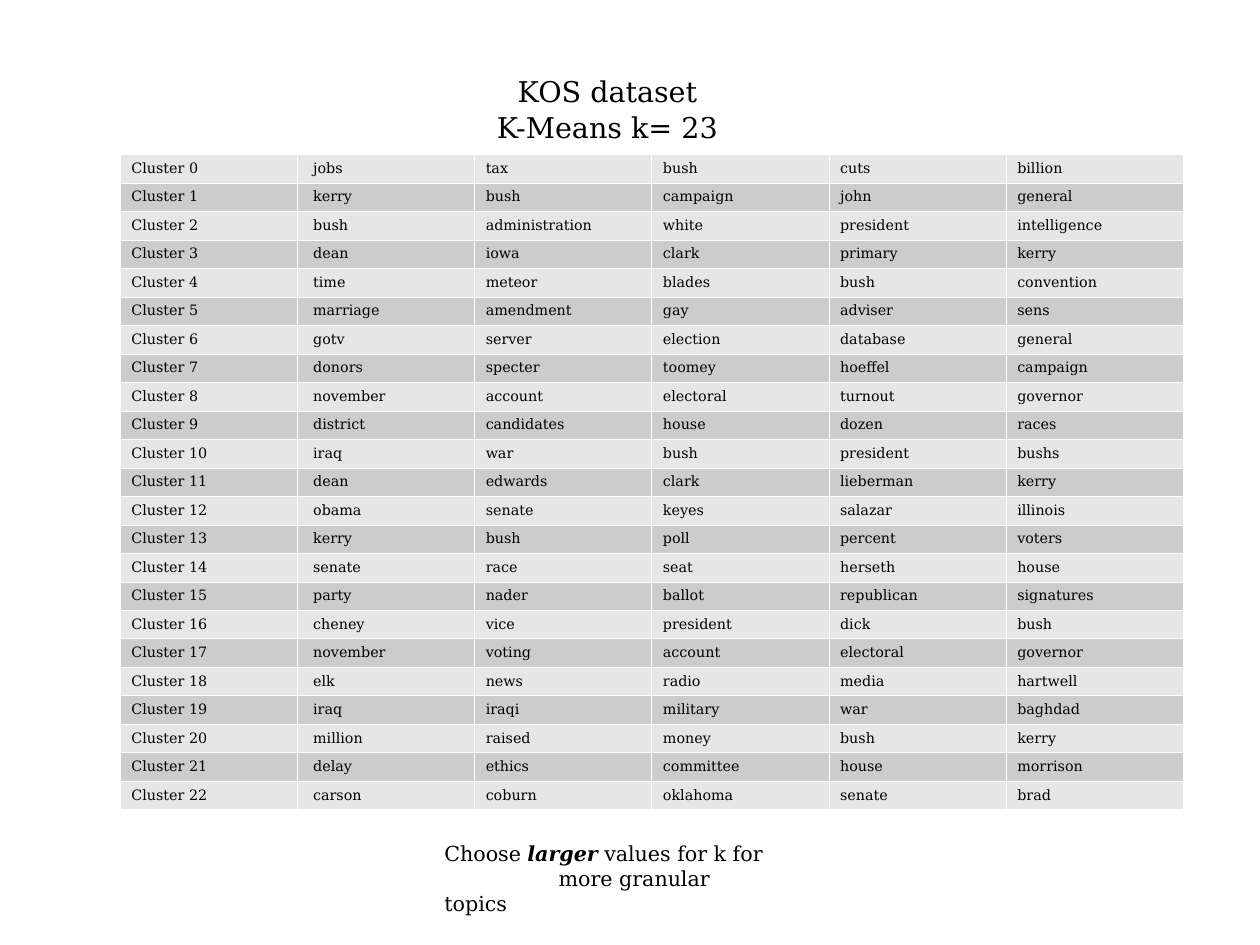
from lxml import etree
from pptx import Presentation
from pptx.dml.color import RGBColor
from pptx.enum.text import MSO_AUTO_SIZE as AutoSize, PP_ALIGN as Align
from pptx.oxml.ns import qn
from pptx.util import Inches, Mm, Pt

FONT = "DejaVu Serif"
BLACK, WHITE = "000000", "FFFFFF"
BANDS = ["E6E6E6", "CCCCCC"]
TITLE_LINES = ["KOS dataset", "K-Means k= 23"]
CLUSTER_TERMS = [
    "jobs tax bush cuts billion",
    "kerry bush campaign john general",
    "bush administration white president intelligence",
    "dean iowa clark primary kerry",
    "time meteor blades bush convention",
    "marriage amendment gay adviser sens",
    "gotv server election database general",
    "donors specter toomey hoeffel campaign",
    "november account electoral turnout governor",
    "district candidates house dozen races",
    "iraq war bush president bushs",
    "dean edwards clark lieberman kerry",
    "obama senate keyes salazar illinois",
    "kerry bush poll percent voters",
    "senate race seat herseth house",
    "party nader ballot republican signatures",
    "cheney vice president dick bush",
    "november voting account electoral governor",
    "elk news radio media hartwell",
    "iraq iraqi military war baghdad",
    "million raised money bush kerry",
    "delay ethics committee house morrison",
    "carson coburn oklahoma senate brad",
]


def color(hex_value):
    return RGBColor.from_string(hex_value)


def style_runs(paragraph, size):
    for run in paragraph.runs:
        run.font.size = Pt(size)
        run.font.name = FONT
        run.font.color.rgb = color(BLACK)


def add_borders(cell):
    """Give a cell hairline white edges; call before filling it."""
    properties = cell._tc.get_or_add_tcPr()
    for side in ("lnL", "lnR", "lnT", "lnB"):
        edge = etree.SubElement(properties, qn(f"a:{side}"), w=str(Pt(0.06)))
        fill = etree.SubElement(edge, qn("a:solidFill"))
        etree.SubElement(fill, qn("a:srgbClr"), val=WHITE)


def add_title(slide, left, top, width, line_gap):
    for index, line in enumerate(TITLE_LINES):
        box = slide.shapes.add_textbox(
            Inches(left), Inches(top + index * line_gap), Inches(width), Inches(0.39))
        frame = box.text_frame
        frame.text = line
        frame.word_wrap = False
        frame.auto_size = AutoSize.SHAPE_TO_FIT_TEXT
        frame.paragraphs[0].alignment = Align.CENTER
        style_runs(frame.paragraphs[0], 18)


def add_cluster_table(slide, left, top, width, height):
    rows = [[f"Cluster {number}", *terms.split()]
            for number, terms in enumerate(CLUSTER_TERMS)]
    table = slide.shapes.add_table(
        len(rows), len(rows[0]), Inches(left), Inches(top),
        Inches(width), Inches(height)).table
    table.first_row = table.horz_banding = False
    for row_index, words in enumerate(rows):
        for column_index, word in enumerate(words):
            cell = table.cell(row_index, column_index)
            cell.text = word
            cell.margin_left = Inches(0.14 if column_index == 1 else 0.1)
            add_borders(cell)
            cell.fill.solid()
            cell.fill.fore_color.rgb = color(BANDS[row_index % 2])
            style_runs(cell.text_frame.paragraphs[0], 9)


def add_advice(slide, left, top, width, height):
    box = slide.shapes.add_textbox(
        Inches(left), Inches(top), Inches(width), Inches(height))
    frame = box.text_frame
    frame.word_wrap = True
    frame.auto_size = AutoSize.SHAPE_TO_FIT_TEXT
    advice = frame.paragraphs[0]
    for words in ("Choose ", "larger", " values for k for"):
        run = advice.add_run()
        run.text = words
        run.font.bold = run.font.italic = words == "larger"
    purpose = frame.add_paragraph()
    purpose.text = "more granular topics"
    purpose._p.get_or_add_pPr().set("indent", str(Inches(1)))
    for paragraph in frame.paragraphs:
        style_runs(paragraph, 13)


def main():
    deck = Presentation()
    deck.slide_width, deck.slide_height = Mm(280), Mm(210)
    deck.element.sldSz.attrib.pop("type", None)
    slide = deck.slides.add_slide(deck.slide_layouts[6])
    add_cluster_table(slide, 1.05, 1.35, 9.3, 5.74)
    add_title(slide, 4.25, 0.6, 2.13, 0.31)
    add_advice(slide, 3.79, 7.31, 3.04, 0.52)
    deck.save("out.pptx")


if __name__ == "__main__":
    main()
